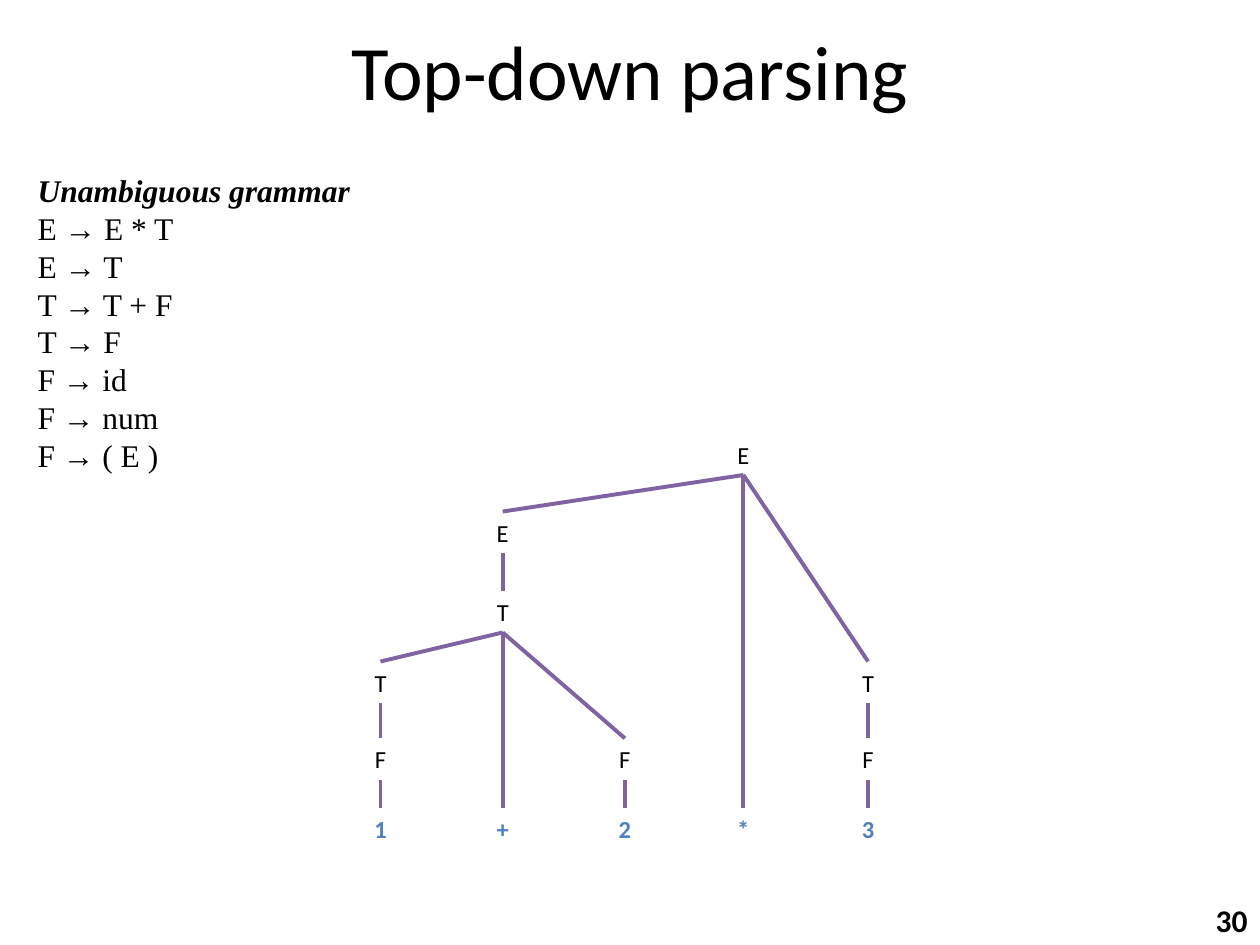
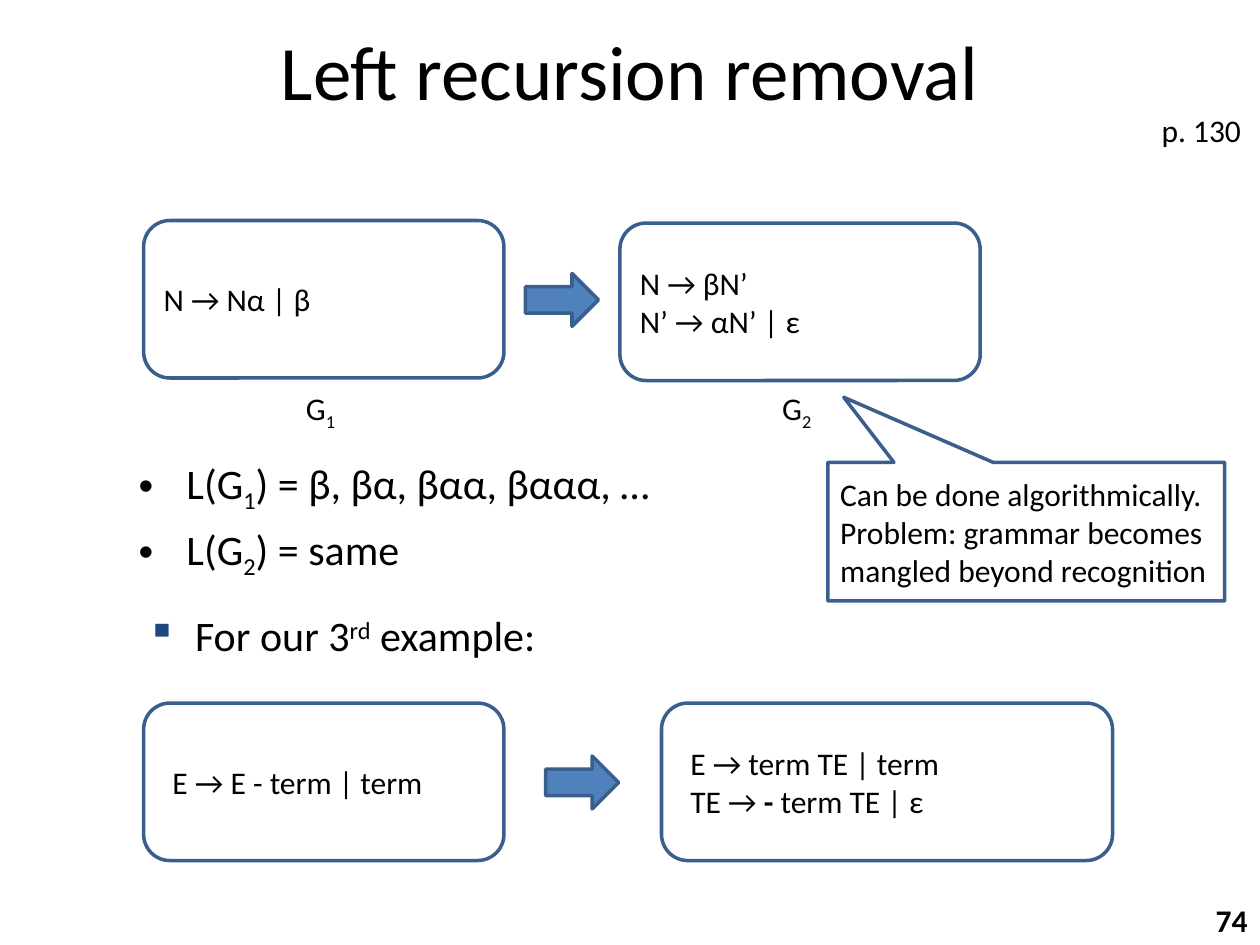
from dataclasses import dataclass, field

from lxml.etree import SubElement
from pptx import Presentation
from pptx.dml.color import RGBColor
from pptx.enum.shapes import MSO_CONNECTOR, MSO_SHAPE
from pptx.enum.text import MSO_ANCHOR, MSO_AUTO_SIZE, PP_ALIGN
from pptx.oxml.ns import qn
from pptx.util import Inches, Pt


@dataclass(frozen=True)
class Theme:
    """Colours, fonts and type sizes of the slides."""
    text: RGBColor = RGBColor(0, 0, 0)
    accent: RGBColor = RGBColor(0x4F, 0x81, 0xBD)
    outline: RGBColor = RGBColor(0x3A, 0x5F, 0x8C)
    branch: RGBColor = RGBColor(0x80, 0x64, 0xA2)
    bullet: str = "1F497D"
    font: str = "Calibri"
    grammar_font: str = "Times New Roman"
    title_size: int = 44
    list_size: int = 24
    body_size: int = 18
    node_size: int = 14
    outline_width: float = 2
    branch_width: float = 2.25


@dataclass
class Node:
    """A parse tree symbol with its column, level and children."""
    symbol: str
    column: int
    level: int
    children: list = field(default_factory=list)


THEME = Theme()
BASELINES = {"sub": "-25000", "sup": "30000"}

NODE_WIDTH, NODE_HEIGHT = 0.3, 0.33
COLUMN_LEFTS = (0, 0.97, 1.94, 2.88, 3.87)
LEVEL_TOPS = (0, 0.62, 1.25, 1.81, 2.42, 2.97)
TOKEN_LEVEL = len(LEVEL_TOPS) - 1

GRAMMAR = ("E → E * T", "E → T", "T → T + F", "T → F",
           "F → id", "F → num", "F → ( E )")


def factor(number, column):
    """Return an F node that derives one number."""
    return Node("F", column, 4, [Node(number, column, TOKEN_LEVEL)])


PARSE_TREE = Node("E", 3, 0, [
    Node("E", 1, 1, [
        Node("T", 1, 2, [
            Node("T", 0, 3, [factor("1", 0)]),
            Node("+", 1, TOKEN_LEVEL),
            factor("2", 2),
        ]),
    ]),
    Node("*", 3, TOKEN_LEVEL),
    Node("T", 4, 3, [factor("3", 4)]),
])


def write_runs(paragraph, runs, size, font=THEME.font, color=THEME.text):
    """Add a plain string, or pairs of text and style, run by run."""
    pairs = [(runs, "")] if isinstance(runs, str) else runs
    for text, style in pairs:
        run = paragraph.add_run()
        run.text = text
        run.font.name = font
        run.font.size = Pt(size)
        run.font.color.rgb = color
        if "bold" in style:
            run.font.bold = True
        if "italic" in style:
            run.font.italic = True
        if style in BASELINES:
            run.font._element.set("baseline", BASELINES[style])


def write_lines(frame, lines, size, align=PP_ALIGN.LEFT, indent=None, **look):
    """Write one paragraph for each line and return the paragraphs."""
    for index, runs in enumerate(lines):
        paragraph = frame.add_paragraph() if index else frame.paragraphs[0]
        paragraph.alignment = align
        if indent:
            margin, first = indent
            properties = paragraph._p.get_or_add_pPr()
            properties.set("marL", str(Inches(margin)))
            properties.set("indent", str(Inches(first)))
        write_runs(paragraph, runs, size, **look)
    return frame.paragraphs


def add_text(slide, box, lines, size=THEME.body_size, wrap=True, **look):
    """Add a text box and return it."""
    shape = slide.shapes.add_textbox(*map(Inches, box))
    shape.text_frame.word_wrap = wrap
    write_lines(shape.text_frame, lines, size, **look)
    return shape


def add_outlined_shape(slide, kind, box, lines=(), fill=None, indent=None):
    """Add a preset shape with the shared outline and left-aligned text."""
    shape = slide.shapes.add_shape(kind, *map(Inches, box))
    shape.shadow.inherit = False
    shape.line.color.rgb = THEME.outline
    shape.line.width = Pt(THEME.outline_width)
    if fill is None:
        shape.fill.background()
    else:
        shape.fill.solid()
        shape.fill.fore_color.rgb = fill
    shape.text_frame.vertical_anchor = MSO_ANCHOR.MIDDLE
    write_lines(shape.text_frame, lines, THEME.body_size, indent=indent)
    return shape


def place_placeholder(placeholder, box):
    """Move a placeholder and switch off its text fitting."""
    placeholder.left, placeholder.top, placeholder.width, placeholder.height = map(Inches, box)
    placeholder.text_frame.auto_size = MSO_AUTO_SIZE.NONE
    return placeholder.text_frame


def start_slide(presentation, layout_index, title, number):
    """Add a slide with its title and page number."""
    slide = presentation.slides.add_slide(presentation.slide_layouts[layout_index])
    frame = place_placeholder(slide.shapes.title, (0.5, 0.13, 9, 0.85))
    frame.vertical_anchor = MSO_ANCHOR.MIDDLE
    write_lines(frame, [title], THEME.title_size, align=PP_ALIGN.CENTER)
    add_text(slide, (9.49, 7.1, 0.51, 0.4), [[(number, "bold")]], align=PP_ALIGN.RIGHT)
    return slide


def add_branch(slide, parent, child):
    """Join the bottom of a parent symbol to the top of its child."""
    branch = slide.shapes.add_connector(MSO_CONNECTOR.STRAIGHT, 0, 0, 0, 0)
    branch.begin_connect(parent, 2)
    branch.end_connect(child, 0)
    branch.line.color.rgb = THEME.branch
    branch.line.width = Pt(THEME.branch_width)
    SubElement(branch._element.spPr, qn("a:effectLst"))


def add_parse_tree(slide, node, left, top):
    """Draw a node and its subtree, and return the shape of the node."""
    is_token = node.level == TOKEN_LEVEL
    box = (left + COLUMN_LEFTS[node.column], top + LEVEL_TOPS[node.level],
           NODE_WIDTH, NODE_HEIGHT)
    symbol = add_text(slide, box, [[(node.symbol, "bold" if is_token else "")]],
                      THEME.node_size, wrap=False, align=PP_ALIGN.CENTER,
                      color=THEME.accent if is_token else THEME.text)
    for child in node.children:
        add_branch(slide, symbol, add_parse_tree(slide, child, left, top))
    return symbol


def add_rewrite(slide, box, before, after, after_left, after_width, arrow_left,
                after_drop=0, indent=None):
    """Draw a grammar box, an arrow and the rewritten grammar box."""
    left, top, width, height = box
    add_outlined_shape(slide, MSO_SHAPE.ROUNDED_RECTANGLE, box, before, indent=indent)
    add_outlined_shape(slide, MSO_SHAPE.ROUNDED_RECTANGLE,
                       (left + after_left, top + after_drop, after_width, height),
                       after, indent=indent)
    add_outlined_shape(slide, MSO_SHAPE.RIGHT_ARROW,
                       (left + arrow_left, top + 0.42, 0.58, 0.42), fill=THEME.accent)


def add_languages(slide, box):
    """Fill the body placeholder with the languages of both grammars."""
    lines = [[("L(G", ""), (index, "sub"), (") = " + language, "")]
             for index, language in (("1", "β, βα, βαα, βααα, …"), ("2", "same"))]
    frame = place_placeholder(slide.placeholders[1], box)
    write_lines(frame, lines, THEME.list_size, indent=(0.38, -0.38))


def add_example_lead(slide, box):
    """Add the square-bulleted line that introduces the example."""
    lead = [("For our 3", ""), ("rd", "sup"), (" example:", "")]
    shape = add_text(slide, box, [lead], THEME.list_size, indent=(0.45, -0.38))
    paragraph = shape.text_frame.paragraphs[0]
    paragraph.space_before = Pt(7)
    properties = paragraph._p.get_or_add_pPr()
    color = SubElement(properties, qn("a:buClr"))
    SubElement(color, qn("a:srgbClr"), val=THEME.bullet)
    SubElement(properties, qn("a:buSzPct"), val="95000")
    SubElement(properties, qn("a:buChar"), char="▪")


def build_parsing_slide(presentation):
    """Build the slide with the grammar and its parse tree."""
    slide = start_slide(presentation, 5, "Top-down parsing", "30")
    add_text(slide, (0.2, 1.31, 2.99, 2.5),
             [[("Unambiguous grammar", "bold italic")], *GRAMMAR],
             indent=(0.5, -0.5), font=THEME.grammar_font)
    add_parse_tree(slide, PARSE_TREE, 2.87, 3.44)


def build_recursion_slide(presentation):
    """Build the slide with the two grammar rewrites."""
    slide = start_slide(presentation, 1, "Left recursion removal", "74")
    add_languages(slide, (1, 3.58, 8.5, 1.33))
    add_rewrite(slide, (1.14, 1.75, 2.86, 1.25), ["N → Nα | β"],
                ["N → βN’", "N’ → αN’ | ε"],
                after_left=3.78, after_width=2.86, arrow_left=3.03, after_drop=0.02)
    for index, left in (("1", 2.33), ("2", 6.11)):
        add_text(slide, (left, 3.04, 0.45, 0.4), [[("G", ""), (index, "sub")]], wrap=False)
    add_rewrite(slide, (1.14, 5.58, 2.86, 1.25), ["E → E - term | term"],
                ["E → term TE | term", [("TE → ", ""), ("-", "bold"), (" term TE | ε", "")]],
                after_left=4.11, after_width=3.58, arrow_left=3.19, indent=(0.07, 0))
    add_example_lead(slide, (1, 4.79, 8.5, 0.55))
    add_text(slide, (9.12, 0.83, 0.88, 0.4), ["p. 130"])
    callout = add_outlined_shape(
        slide, MSO_SHAPE.RECTANGULAR_CALLOUT, (6.57, 3.67, 3.15, 1.1),
        ["Can be done algorithmically.",
         "Problem: grammar becomes mangled beyond recognition"])
    callout.adjustments[0] = -0.46
    callout.adjustments[1] = -0.97


def main():
    """Build both slides and save them."""
    presentation = Presentation()
    presentation.slide_width = Inches(10)
    presentation.slide_height = Inches(7.5)
    build_parsing_slide(presentation)
    build_recursion_slide(presentation)
    presentation.save("out.pptx")


if __name__ == "__main__":
    main()
